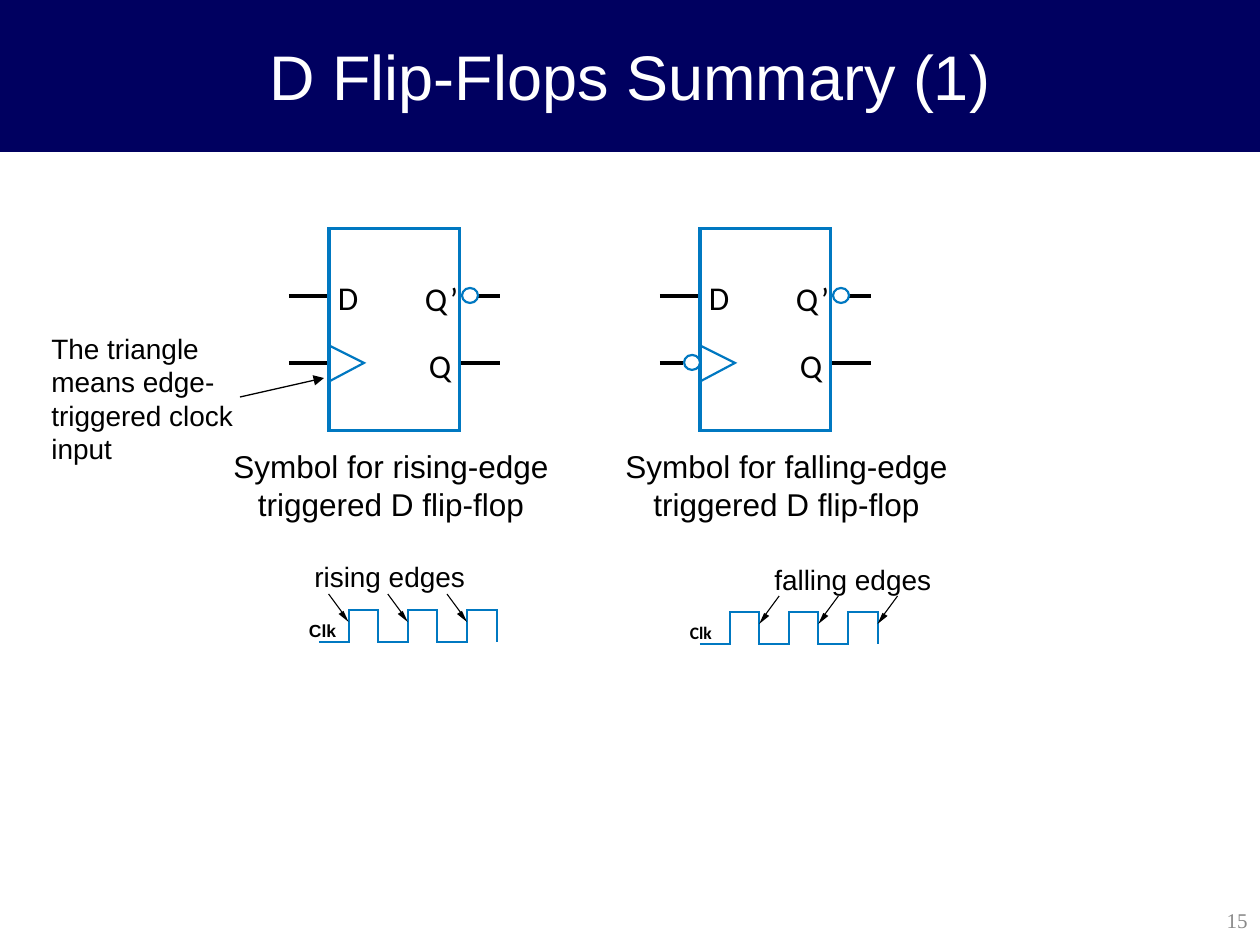
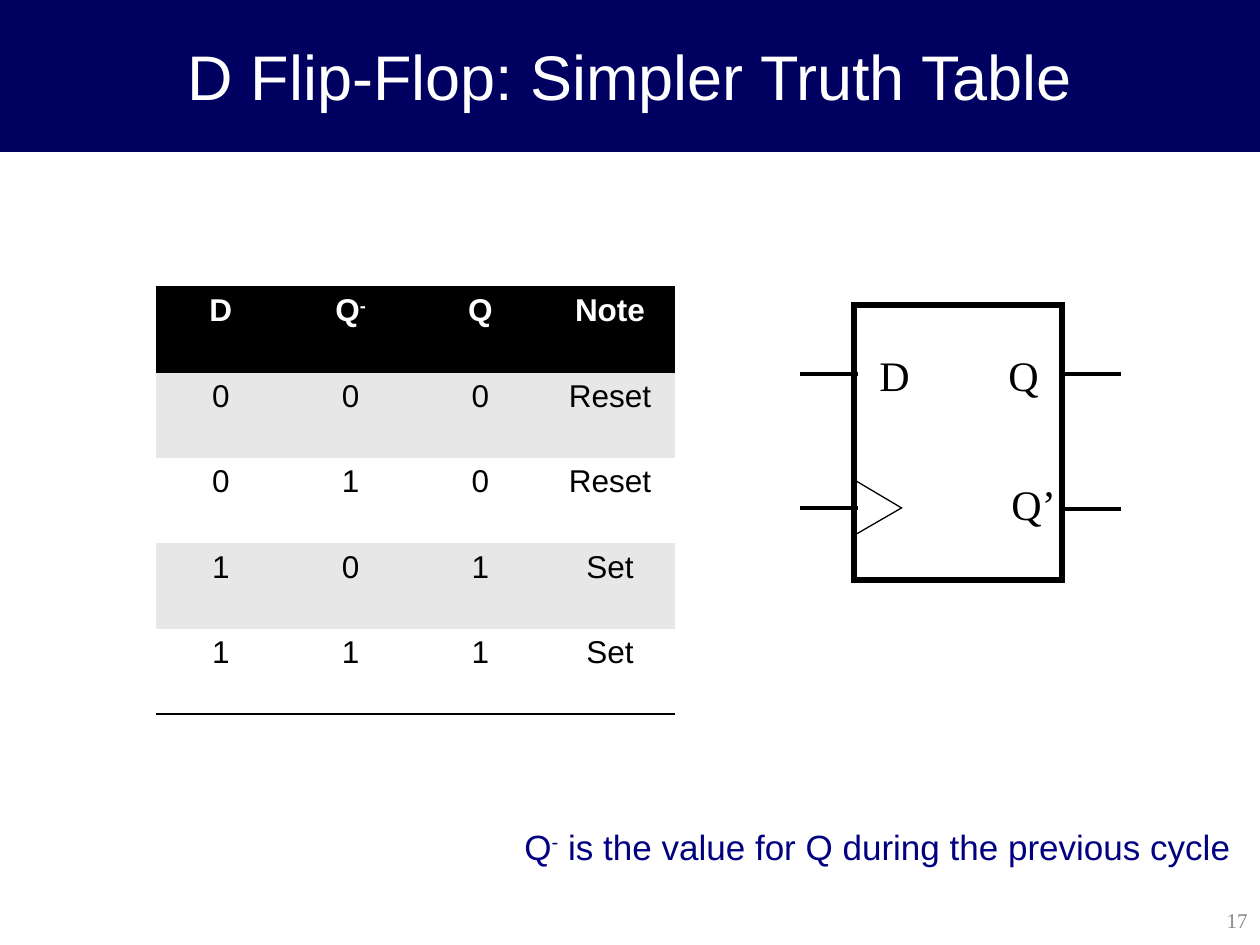
from lxml import etree
from pptx import Presentation
from pptx.dml.color import RGBColor
from pptx.enum.shapes import MSO_CONNECTOR, MSO_SHAPE
from pptx.enum.text import MSO_ANCHOR, PP_ALIGN
from pptx.oxml.ns import qn
from pptx.util import Pt

SCALE = 914400 / 126
LEFT, CENTER, RIGHT = PP_ALIGN.LEFT, PP_ALIGN.CENTER, PP_ALIGN.RIGHT
MIDDLE = MSO_ANCHOR.MIDDLE
RECT, OVAL = MSO_SHAPE.RECTANGLE, MSO_SHAPE.OVAL
TRIANGLE = MSO_SHAPE.ISOSCELES_TRIANGLE
STRAIGHT = MSO_CONNECTOR.STRAIGHT
NAVY, BLUE, BLACK, WHITE = "000060", "0078C1", "000000", "FFFFFF"
GRAY, PALE, INK = "898989", "E7E7E7", "000080"
SANS, SERIF, LABEL = "Arial", "Times New Roman", "Calibri"
NO_GRID = "{2D5ABB26-0587-4C30-8999-92F81FD0307C}"
HALF = 29.6  # half a clock period

ROWS = [
    ["D", "Q^-", "Q", "Note"],
    ["0", "0", "0", "Reset"],
    ["0", "1", "0", "Reset"],
    ["1", "0", "1", "Set"],
    ["1", "1", "1", "Set"],
]


def px(*sizes):
    """Turn pixels into a list of EMU lengths."""
    return [round(size * SCALE) for size in sizes]


def rgb(color):
    """Turn a hex string into a colour."""
    return RGBColor.from_string(color)


def write(frame, text, size, font=SANS, color=BLACK, align=LEFT, bold=False):
    """Fill a text frame; a part between two ^ marks is superscript."""
    for i, line in enumerate(text.split("\n")):
        para = frame.add_paragraph() if i else frame.paragraphs[0]
        para.alignment = align
        para.font.size, para.font.name = Pt(size), font
        para.font.bold, para.font.color.rgb = bold, rgb(color)
        for j, part in enumerate(line.split("^")):
            run = para.add_run()
            run.text = part
            if j % 2:
                run._r.get_or_add_rPr().set("baseline", "30000")


def add_text(slide, box, text, size, wrap=True, inset=True, **style):
    """Add a text box, with or without the usual insets."""
    frame = slide.shapes.add_textbox(*px(*box)).text_frame
    frame.word_wrap = wrap
    if not inset:
        frame.margin_left = frame.margin_right = 0
        frame.margin_top = frame.margin_bottom = 0
    write(frame, text, size, **style)
    return frame


def paint(shape, fill, line, width):
    """Set the fill and outline of a shape; None leaves one out."""
    shape.shadow.inherit = False
    if fill:
        shape.fill.solid()
        shape.fill.fore_color.rgb = rgb(fill)
    else:
        shape.fill.background()
    if line:
        shape.line.color.rgb = rgb(line)
        shape.line.width = Pt(width)
        etree.SubElement(shape.line._get_or_add_ln(), qn("a:miter"),
                         lim="800000")
    else:
        shape.line.fill.background()


def add_shape(slide, kind, box, fill=None, line=BLACK, width=0.75):
    """Add a preset shape."""
    shape = slide.shapes.add_shape(kind, *px(*box))
    paint(shape, fill, line, width)
    return shape


def add_path(slide, points, fill=None, line=None, width=1, close=False):
    """Add an outline through the given points."""
    points = [px(*point) for point in points]
    pen = slide.shapes.build_freeform(*points[0])
    pen.add_line_segments(points[1:], close=close)
    paint(pen.convert_to_shape(), fill, line, width)


def add_line(slide, ends, width, head=False):
    """Add a straight black line, with an arrowhead if asked."""
    wire = slide.shapes.add_connector(STRAIGHT, *px(*ends))
    wire.line.color.rgb = rgb(BLACK)
    wire.line.width = Pt(width)
    if head:
        etree.SubElement(wire.line._get_or_add_ln(), qn("a:tailEnd"),
                         type="triangle")
    etree.SubElement(wire._element.spPr, qn("a:effectLst"))


def add_band(slide):
    """Put the title band on the layout that the slides share."""
    band = add_shape(slide, RECT, (0, 0, 1260, 151), NAVY, NAVY)
    slide.slide_layout.shapes._spTree.insert(2, band._element)


def add_slide(deck, title, number):
    """Add a slide with its title and page number."""
    slide = deck.slides.add_slide(deck.slide_layouts[5])
    head = slide.shapes.title
    head.left, head.top, head.width, head.height = px(0, 0, 1260, 151)
    head.text_frame.vertical_anchor = MIDDLE
    write(head.text_frame, title, 36, color=WHITE, align=CENTER)
    page = add_text(slide, (993, 895, 267, 50), number, 12, font=SERIF,
                    color=GRAY, align=RIGHT)
    page.vertical_anchor = MIDDLE
    return slide


def add_bubble(slide, left, top):
    """Add an inversion bubble."""
    add_shape(slide, OVAL, (left, top, 16, 15), WHITE, BLUE, 1.25)


def add_flop(slide, x, falling):
    """Draw the flip-flop symbol whose left side is at x."""
    for text, dx, y, width in (("D", 9, 277, 24), ("Q", 96, 278, 26),
                               ("’", 121, 278, 9), ("Q", 100, 345, 26)):
        add_text(slide, (x + dx, y, width, 40), text, 19, wrap=False,
                 inset=False, font=LABEL)
    clock = -17 if falling else 0
    for start, end, y in ((-40, 0, 296), (-40, clock, 363),
                          (149, 171, 296), (131, 171, 363)):
        add_line(slide, (x + start, y, x + end, y), 2.38)
    add_path(slide, [(x + 1, 381), (x + 35, 363), (x + 1, 346)],
             line=BLUE, width=1.25)
    add_shape(slide, RECT, (x, 229, 131, 202), line=BLUE, width=1.76)
    add_bubble(slide, x + 133, 288)
    if falling:
        add_bubble(slide, x - 16, 355)


def add_clock(slide, x, top, falling, font):
    """Draw a clock wave and mark its three active edges."""
    low, points = top + 32, [(x, top + 32)]
    for i in range(1, 7):
        edge = x + HALF * i
        pair = [(edge, low), (edge, top)]
        points += pair if i % 2 else pair[::-1]
    add_path(slide, points, line=BLUE, width=1.13)
    side = 1 if falling else -1
    for i in range(3):
        tip, y = x + HALF * (2 * i + 1 + falling), top + 12
        add_line(slide, (tip + side * 20, y - 28, tip + side * 6, y - 9), 0.62)
        add_path(slide, [(tip, y), (tip + side * 5, y - 11),
                         (tip + side * 10, y - 8)], fill=BLACK, close=True)
    add_text(slide, (x - 10, top + 10, 28, 21), "Clk", 10, wrap=False,
             inset=False, font=font, bold=True)


def add_border(cell, *sides):
    """Draw thin black borders on the named sides of a cell."""
    for side in sides:
        edge = etree.SubElement(cell._tc.get_or_add_tcPr(), qn("a:" + side),
                                w=str(Pt(0.96)))
        fill = etree.SubElement(edge, qn("a:solidFill"))
        etree.SubElement(fill, qn("a:srgbClr"), val=BLACK)


def add_truth(slide, box):
    """Add the truth table."""
    table = slide.shapes.add_table(len(ROWS), len(ROWS[0]), *px(*box)).table
    table._tbl.tblPr.find(qn("a:tableStyleId")).text = NO_GRID
    for i, row in enumerate(ROWS):
        head = i == 0
        for j, text in enumerate(row):
            cell = table.cell(i, j)
            if head:
                add_border(cell, "lnT", "lnB")
            elif i == len(ROWS) - 1:
                add_border(cell, "lnB")
            cell.fill.solid()
            cell.fill.fore_color.rgb = rgb(
                BLACK if head else PALE if i % 2 else WHITE)
            write(cell.text_frame, text, 18, align=CENTER, bold=head,
                  color=WHITE if head else BLACK)


def fill_summary(slide):
    """Compare rising-edge and falling-edge flip-flops."""
    add_flop(slide, 329, False)
    add_flop(slide, 700, True)
    for x, width, edge in ((221, 340, "rising"), (613, 347, "falling")):
        add_text(slide, (x, 441, width, 88),
                 f"Symbol for {edge}-edge\ntriggered D flip-flop", 18,
                 wrap=False, align=CENTER)
    add_clock(slide, 319, 610, False, SANS)
    add_clock(slide, 700, 612, True, LABEL)
    add_text(slide, (302, 553, 200, 47), "rising edges", 16)
    add_text(slide, (762, 556, 200, 47), "falling edges", 16)
    add_text(slide, (39, 325, 210, 147),
             "The triangle means edge-triggered clock input", 16)
    add_line(slide, (240, 397, 324, 378), 0.74, head=True)


def fill_truth(slide):
    """Show the truth table beside the flip-flop symbol."""
    add_shape(slide, RECT, (854, 305, 208, 275), width=3)
    add_truth(slide, (156, 287, 519, 427))
    for x, y, text in ((867, 343, "D"), (996, 343, "Q"), (999, 472, "Q’")):
        add_text(slide, (x, y, 79, 63), text, 24, font=SERIF)
    add_shape(slide, TRIANGLE, (838, 476, 55, 49)).rotation = 330
    for x, y in ((800, 374), (800, 508), (1063, 374), (1063, 509)):
        add_line(slide, (x, y, x + 58, y), 2)
    add_text(slide, (512, 819, 814, 55),
             "Q^-^ is the value for Q during the previous cycle", 20,
             color=INK)


def main():
    """Build the two slides and save them."""
    deck = Presentation()
    deck.slide_width, deck.slide_height = px(1260, 945)
    summary = add_slide(deck, "D Flip-Flops Summary (1)", "15")
    add_band(summary)
    fill_summary(summary)
    fill_truth(add_slide(deck, "D Flip-Flop: Simpler Truth Table", "17"))
    deck.save("out.pptx")


main()
